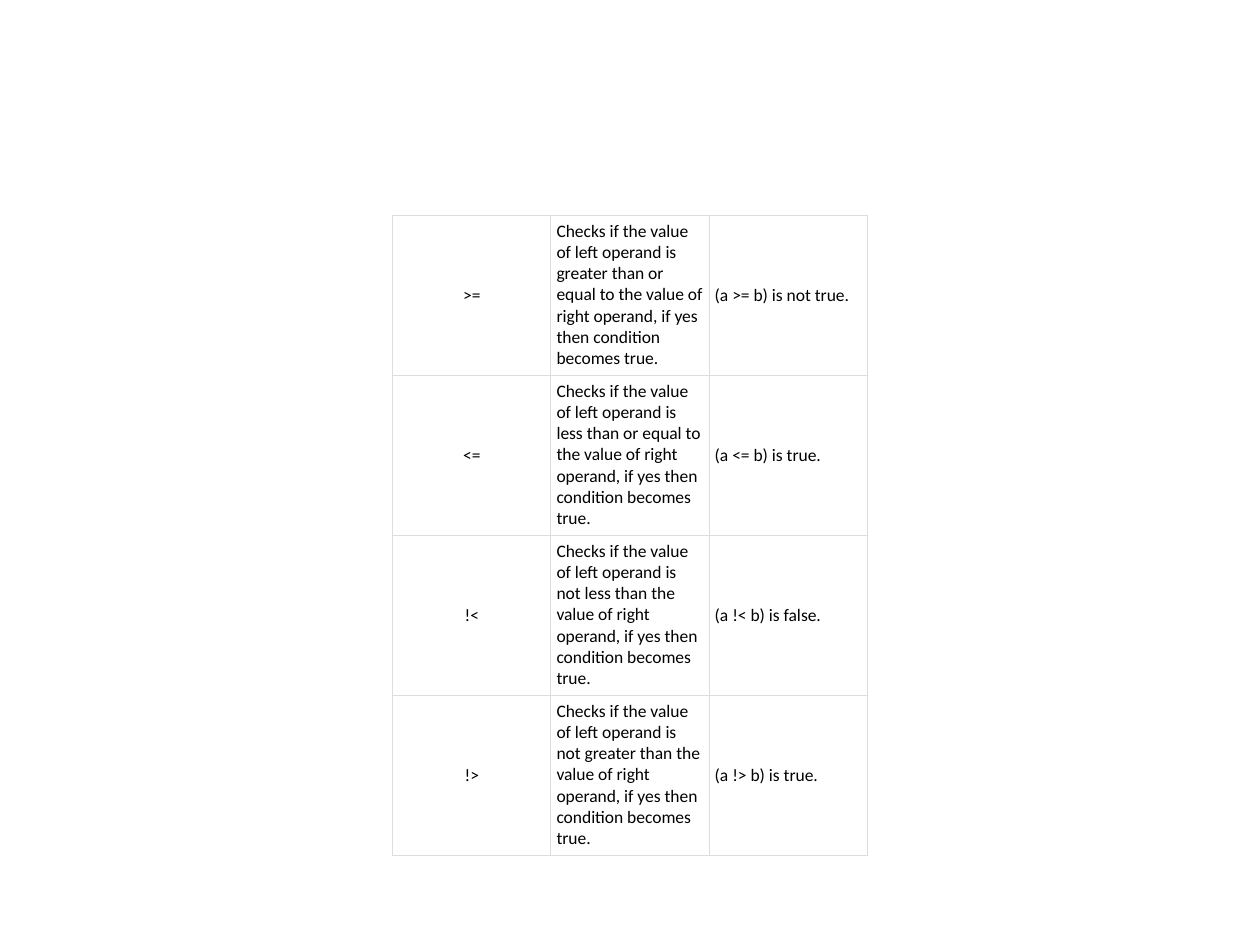
from lxml import etree
from pptx import Presentation
from pptx.dml.color import RGBColor
from pptx.enum import text
from pptx.oxml import ns
from pptx.util import Pt

OPERATORS = [
    (">=", "greater than or equal to", "not true"),
    ("<=", "less than or equal to", "true"),
    ("!<", "not less than", "false"),
    ("!>", "not greater than", "true"),
]


def rgb(value):
    """Turn a hex string into a colour."""
    return RGBColor.from_string(value)


def add_borders(cell, color, width):
    """Draw a solid line on all four sides of a cell."""
    tc_pr = cell._tc.get_or_add_tcPr()
    for i, side in enumerate(("lnL", "lnR", "lnT", "lnB")):
        line = etree.Element(ns.qn("a:" + side), w=str(Pt(width)))
        fill = etree.SubElement(line, ns.qn("a:solidFill"))
        etree.SubElement(fill, ns.qn("a:srgbClr"), val=color)
        tc_pr.insert(i, line)


def fill_cell(cell, words, align):
    """Write one cell with its margins, font and borders."""
    cell.margin_left = cell.margin_right = Pt(3.25)
    cell.margin_top = cell.margin_bottom = Pt(3)
    cell.vertical_anchor = text.MSO_ANCHOR.MIDDLE
    cell.fill.background()
    p = cell.text_frame.paragraphs[0]
    p.alignment = align
    r = p.add_run()
    r.text = words
    r.font.name = "Calibri"
    r.font.size = Pt(10)
    r.font.color.rgb = rgb("000000")
    add_borders(cell, "DDDDDD", 0.75)


def add_operator_table(s, left, top, width, height):
    """Place the table of comparison operators in the given box."""
    frame = s.shapes.add_table(len(OPERATORS), 3, Pt(left), Pt(top),
                               Pt(width), Pt(height))
    table = frame.table
    table.first_row = table.horz_banding = False
    for row, (sign, relation, result) in zip(table.rows, OPERATORS):
        description = (f"Checks if the value of left operand is {relation} "
                       "the value of right operand, if yes then condition "
                       "becomes true.")
        example = f"(a {sign} b) is {result}."
        for i, words in enumerate((sign, description, example)):
            align = text.PP_ALIGN.LEFT if i else text.PP_ALIGN.CENTER
            fill_cell(row.cells[i], words, align)
        row.cells[1].vertical_anchor = text.MSO_ANCHOR.TOP


prs = Presentation()
prs.slide_width, prs.slide_height = Pt(720), Pt(540)
s = prs.slides.add_slide(prs.slide_layouts[6])
add_operator_table(s, 224.4, 123.1, 271.2, 365.76)
prs.save("out.pptx")
